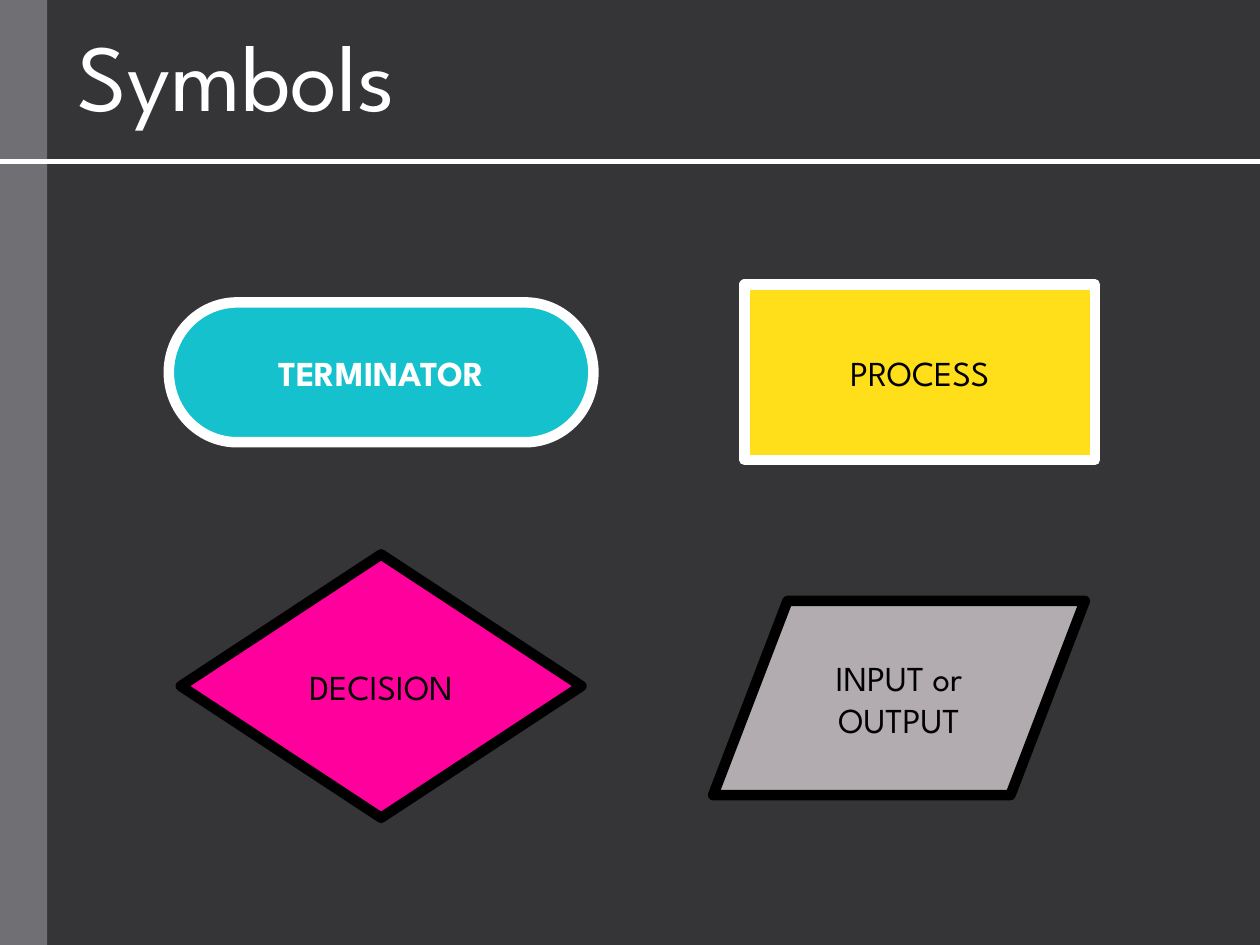
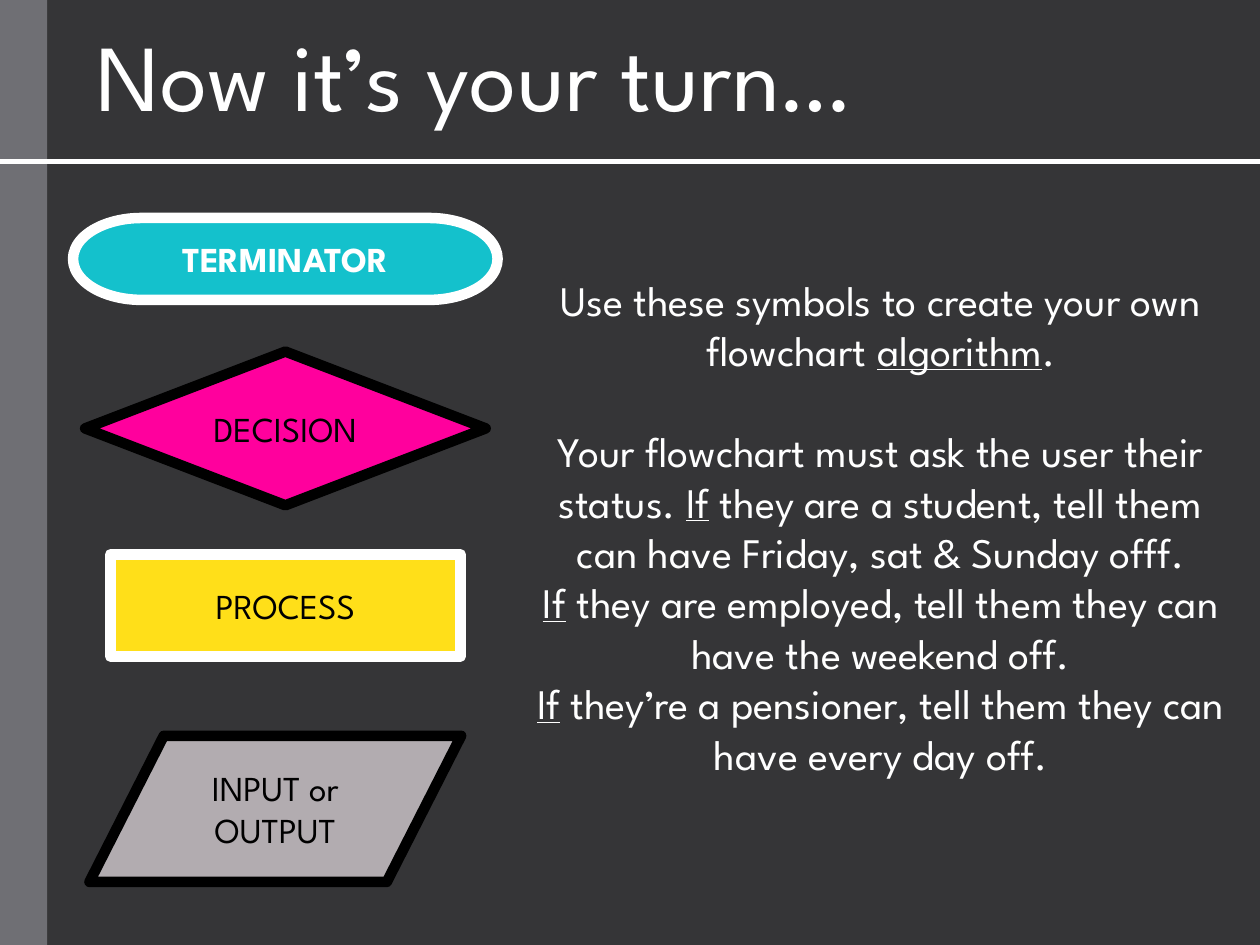
from dataclasses import dataclass

from lxml.etree import SubElement
from pptx import Presentation
from pptx.dml.color import RGBColor
from pptx.enum.shapes import MSO_CONNECTOR, MSO_SHAPE as Shp
from pptx.enum.text import MSO_ANCHOR, PP_ALIGN
from pptx.oxml.ns import qn
from pptx.slide import Slide
from pptx.text.text import _Paragraph as Para
from pptx.util import Inches, Length, Pt

COLS, ROWS = 100, 75


@dataclass(frozen=True)
class Theme:
    font: str = "League Spartan"
    back: str = "353537"
    band: str = "6F6F74"
    white: str = "FFFFFF"
    black: str = "000000"
    cyan: str = "14C1CC"
    yellow: str = "FFDF19"
    pink: str = "FF009D"
    grey: str = "B2ACB0"
    title: int = 54
    body: int = 24
    label: int = 20
    gap: float = 28.8
    outline: int = 6
    rule: int = 3


@dataclass(frozen=True)
class Symbol:
    label: str
    kind: Shp
    fill: str
    edge: str
    ink: str
    cols: float
    bold: bool = False


@dataclass(frozen=True)
class Spot:
    symbol: Symbol
    col: float
    row: float
    rows: float


@dataclass(frozen=True)
class BodyLine:
    text: str
    gap_before: float = 0


T = Theme()
TERMINATOR = Symbol("TERMINATOR", Shp.FLOWCHART_TERMINATOR, T.cyan, T.white, T.white, 33.7, True)
PROCESS = Symbol("PROCESS", Shp.FLOWCHART_PROCESS, T.yellow, T.white, T.black, 27.8)
DECISION = Symbol("DECISION", Shp.FLOWCHART_DECISION, T.pink, T.black, T.black, 31.8)
IN_OUT = Symbol("INPUT or OUTPUT", Shp.FLOWCHART_DATA, T.grey, T.black, T.black, 29.5)

OVERVIEW = (
    Spot(TERMINATOR, 30.25, 29.55, 11.1),
    Spot(PROCESS, 73, 29.55, 13.9),
    Spot(DECISION, 30.25, 54.45, 20.9),
    Spot(IN_OUT, 71.35, 55.4, 15.4),
)
LEGEND = (
    Spot(TERMINATOR, 22.65, 20.55, 6.5),
    Spot(PROCESS, 22.65, 48.05, 8.1),
    Spot(DECISION, 22.65, 34, 12.2),
    Spot(IN_OUT, 21.85, 64.2, 11.6),
)
TASK = (
    BodyLine("Use these symbols to create your own flowchart _algorithm_."),
    BodyLine("Your flowchart must ask the user their status. _If_ they are a student, "
             "tell them can have Friday, sat & Sunday offf.", T.gap),
    BodyLine("_If_ they are employed, tell them they can have the weekend off."),
    BodyLine("_If_ they’re a pensioner, tell them they can have every day off."),
)

prs = Presentation()
prs.slide_width, prs.slide_height = Inches(10), Inches(7.5)


def x(cols: float) -> Length:
    return Length(round(prs.slide_width * cols / COLS))


def y(rows: float) -> Length:
    return Length(round(prs.slide_height * rows / ROWS))


def rgb(color: str) -> RGBColor:
    return RGBColor.from_string(color)


def style(p: Para, size: int, color: str, bold: bool = False) -> None:
    p.font.name, p.font.size, p.font.bold = T.font, Pt(size), bold
    p.font.color.rgb = rgb(color)


def add_text(s: Slide, box: tuple[float, float, float, float], lines: tuple[BodyLine, ...],
             size: int, align: PP_ALIGN) -> None:
    left, top, cols, rows = box
    tf = s.shapes.add_textbox(x(left), y(top), x(cols), y(rows)).text_frame
    tf.word_wrap = True
    for i, line in enumerate(lines):
        p = tf.add_paragraph() if i else tf.paragraphs[0]
        p.alignment, p.space_before = align, Pt(line.gap_before)
        style(p, size, T.white)
        for j, part in enumerate(line.text.split("_")):
            if part:
                r = p.add_run()
                r.text = part
                if j % 2:
                    r.font.underline = True


def add_symbol(s: Slide, spot: Spot) -> None:
    sym = spot.symbol
    sp = s.shapes.add_shape(sym.kind, x(spot.col - sym.cols / 2), y(spot.row - spot.rows / 2),
                            x(sym.cols), y(spot.rows))
    sp.shadow.inherit = False
    sp.fill.solid()
    sp.fill.fore_color.rgb = rgb(sym.fill)
    sp.line.color.rgb = rgb(sym.edge)
    sp.line.width = Pt(T.outline)
    tf = sp.text_frame
    tf.word_wrap, tf.vertical_anchor = True, MSO_ANCHOR.MIDDLE
    p = tf.paragraphs[0]
    p.text, p.alignment = sym.label, PP_ALIGN.CENTER
    style(p, T.label, sym.ink, sym.bold)


def add_slide(title: str, title_col: float, spots: tuple[Spot, ...]) -> Slide:
    s = prs.slides.add_slide(prs.slide_layouts[6])
    s.background.fill.solid()
    s.background.fill.fore_color.rgb = rgb(T.back)
    band = s.shapes.add_shape(Shp.RECTANGLE, 0, 0, x(3.75), y(ROWS))
    band.shadow.inherit = False
    band.fill.solid()
    band.fill.fore_color.rgb = rgb(T.band)
    band.line.fill.background()
    add_text(s, (title_col, 0.85, 92.4, 10.1), (BodyLine(title),), T.title, PP_ALIGN.LEFT)
    rule = s.shapes.add_connector(MSO_CONNECTOR.STRAIGHT, 0, y(12.8), x(COLS), y(12.8))
    rule.line.color.rgb = rgb(T.white)
    rule.line.width = Pt(T.rule)
    SubElement(rule._element.spPr, qn("a:effectLst"))
    for spot in spots:
        add_symbol(s, spot)
    return s


def main() -> None:
    add_slide("Symbols", 5.2, OVERVIEW)
    s = add_slide("Now it’s your turn…", 6.7, LEGEND)
    add_text(s, (40.7, 21.3, 58.4, 49.5), TASK, T.body, PP_ALIGN.CENTER)
    prs.save("out.pptx")


if __name__ == "__main__":
    main()
